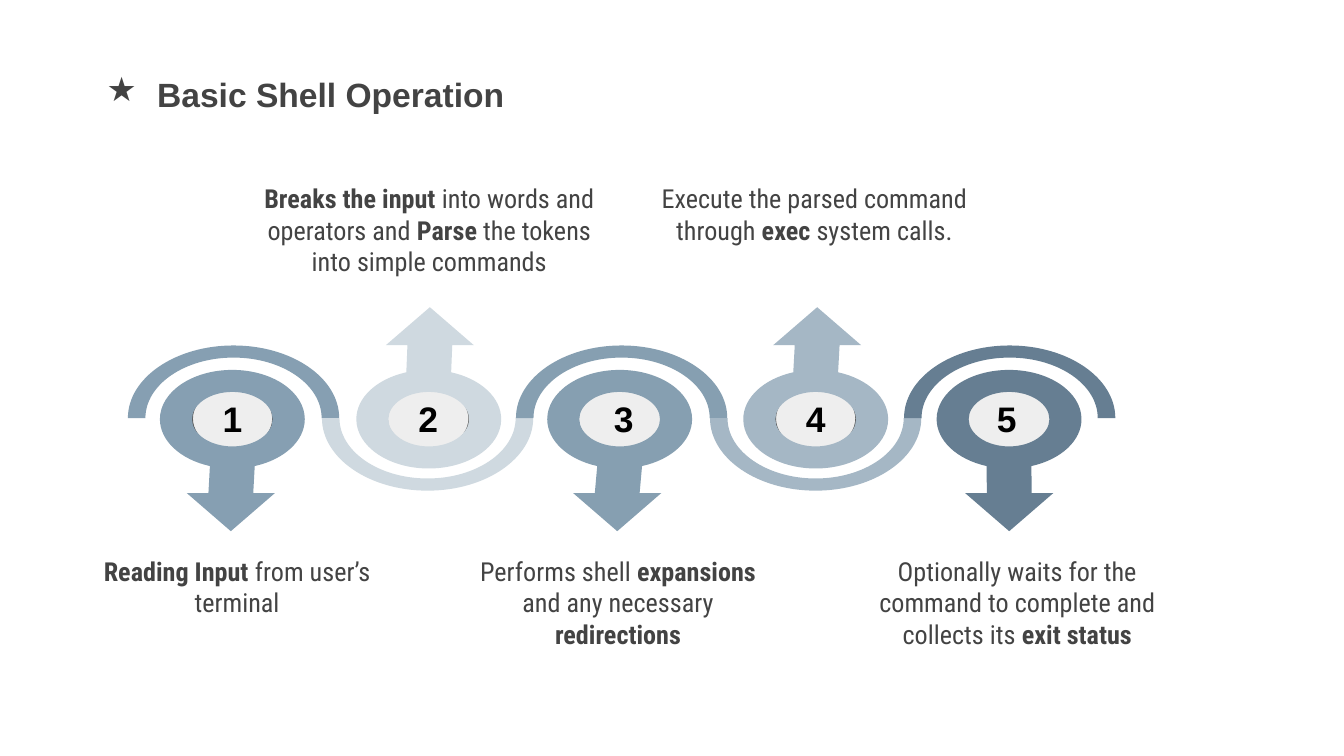
from math import asin, cos, pi, sin, tan

from lxml.etree import SubElement
from pptx import Presentation
from pptx.dml.color import RGBColor
from pptx.enum.shapes import MSO_SHAPE
from pptx.enum.text import MSO_ANCHOR, MSO_AUTO_SIZE, PP_ALIGN
from pptx.oxml.ns import qn
from pptx.util import Pt

# Content: ** switches bold on and off
TITLE = "Basic Shell Operation"
STEPS = [
    {"text": "**Reading Input** from user’s terminal", "box": (48.2, 157.7, 48.2),
     "color": "869FB2", "disc": 124.5, "tip": 123.7, "badge": (103, 43.2)},
    {"text": "**Breaks the input** into words and operators and **Parse** the tokens "
             "into simple commands", "box": (131, 198, 64.8),
     "color": "CFD9E0", "disc": 229.7, "tip": 230.3, "badge": (207.4, 43.9)},
    {"text": "Performs shell **expansions** and any necessary **redirections**",
     "box": (249.8, 162.7, 64.8),
     "color": "869FB1", "disc": 332, "tip": 330.7, "badge": (309.6, 49)},
    {"text": "Execute the parsed command through **exec **system calls.",
     "box": (344.9, 182.9, 48.2),
     "color": "A5B7C5", "disc": 437, "tip": 437.8, "badge": (415.4, 43.2)},
    {"text": "Optionally waits for the command to complete and collects its **exit status**",
     "box": (453.6, 182.9, 64.8),
     "color": "667E92", "disc": 540.6, "tip": 540.7, "badge": (514.8, 49)},
]

# Geometry in points
ARC_FIRST, ARC_STEP, ARC_Y = 125.1, 103.95, 224
ARC_OUTER, ARC_INNER = (56.6, 38.9), (47.2, 32.4)
DISC_Y, DISC, HOLE = 224.6, (38.8, 26.4), (21.6, 14.6)
STEM, HEAD, HEAD_BASE, TIP = 12, 23.6, 39.6, 60
BADGE_TOP, BADGE_HEIGHT = 207.4, 33.8
TEXT_ABOVE, TEXT_BELOW = 90.7, 290.2
INK = "434343"


def color(value):
    return RGBColor.from_string(value)


def write(paragraph, text, size, font="Arial", ink=INK, bold=False, align=PP_ALIGN.CENTER):
    paragraph.alignment = align
    for index, part in enumerate(text.split("**")):
        if part:
            run = paragraph.add_run()
            run.text = part
            run.font.size, run.font.name = Pt(size), font
            run.font.bold = bold or index % 2 == 1
            run.font.color.rgb = color(ink)


def set_margins(frame):
    frame.margin_left = frame.margin_right = frame.margin_top = frame.margin_bottom = Pt(7.2)


def ellipse_nodes(center, radii, angles):
    """Return nodes, each a list of points: two curve handles, then the end."""
    def at(angle, slope=0):
        return (center[0] + radii[0] * (cos(angle) - slope * sin(angle)),
                center[1] + radii[1] * (sin(angle) + slope * cos(angle)))

    nodes = [[at(angles[0])]]
    for start, end in zip(angles, angles[1:]):
        handle = 4 / 3 * tan((end - start) / 4)
        nodes.append([at(start, handle), at(end, -handle), at(end)])
    return nodes


def add_outline(slide, contours, fill):
    corners = [[(Pt(x), Pt(y)) for x, y in (node[-1] for node in nodes)] for nodes in contours]
    builder = slide.shapes.build_freeform(*corners[0][0], scale=1.0)
    builder.add_line_segments(corners[0][1:], close=True)
    for contour in corners[1:]:
        builder.move_to(*contour[0])
        builder.add_line_segments(contour[1:], close=True)
    shape = builder.convert_to_shape()

    # Turn the segments that have handles into curves
    segments = [point.getparent() for point in shape._element.iter(qn("a:pt"))]
    nodes = [node for contour in contours for node in contour]
    for segment, node in zip(segments, nodes):
        if len(node) == 3:
            segment.getparent().replace(segment, curve := segment.makeelement(qn("a:cubicBezTo")))
            for x, y in node:
                SubElement(curve, qn("a:pt"), x=str(Pt(x) - shape.left), y=str(Pt(y) - shape.top))

    shape.shadow.inherit = False
    shape.fill.solid()
    shape.fill.fore_color.rgb = color(fill)
    shape.line.fill.background()


def add_title(slide):
    title = slide.shapes.title
    title.left, title.top, title.width, title.height = Pt(41), Pt(34.6), Pt(446.4), Pt(33.8)
    frame = title.text_frame
    frame.auto_size, frame.vertical_anchor = MSO_AUTO_SIZE.NONE, MSO_ANCHOR.BOTTOM
    set_margins(frame)
    paragraph = frame.paragraphs[0]
    write(paragraph, TITLE, 18, bold=True, align=PP_ALIGN.LEFT)
    properties = paragraph._p.get_or_add_pPr()
    properties.set("marL", str(Pt(36)))
    properties.set("indent", str(Pt(-27)))
    bullet_color = SubElement(properties, qn("a:buClr"))
    SubElement(bullet_color, qn("a:srgbClr"), val=INK)
    SubElement(properties, qn("a:buChar"), char="★")


def add_badge(slide, number, left, width):
    badge = slide.shapes.add_shape(
        MSO_SHAPE.OVAL, Pt(left), Pt(BADGE_TOP), Pt(width), Pt(BADGE_HEIGHT))
    badge.shadow.inherit = False
    badge.fill.solid()
    badge.fill.fore_color.rgb = color("EEEEEE")
    badge.line.color.rgb = color("595959")
    badge.line.width = Pt(0.75)
    badge.text_frame.vertical_anchor = MSO_ANCHOR.MIDDLE
    set_margins(badge.text_frame)
    write(badge.text_frame.paragraphs[0], str(number), 19, ink="000000", bold=True)


def add_arc(slide, index, fill, direction):
    center = (ARC_FIRST + index * ARC_STEP, ARC_Y)
    angles = [pi + direction * pi / 2 * quarter for quarter in range(3)]
    outer = ellipse_nodes(center, ARC_OUTER, angles)
    inner = ellipse_nodes(center, ARC_INNER, angles[::-1])
    add_outline(slide, [outer + inner], fill)


def add_pin(slide, disc_x, tip_x, fill, direction):
    center = (disc_x, DISC_Y)
    gap = asin(STEM / DISC[0])
    turns = [gap, pi / 2, pi, 3 * pi / 2, 2 * pi - gap]
    disc = ellipse_nodes(center, DISC, [direction * pi / 2 + turn for turn in turns])
    arrow = [[(tip_x + direction * dx, DISC_Y + direction * dy)] for dx, dy in (
        (STEM, HEAD_BASE), (HEAD, HEAD_BASE), (0, TIP), (-HEAD, HEAD_BASE), (-STEM, HEAD_BASE))]
    hole = ellipse_nodes(center, HOLE, [-pi / 2 * quarter for quarter in range(5)])
    add_outline(slide, [disc + arrow, hole], fill)


def add_description(slide, text, left, top, width, height):
    box = slide.shapes.add_textbox(Pt(left), Pt(top), Pt(width), Pt(height))
    frame = box.text_frame
    frame.word_wrap, frame.auto_size = True, MSO_AUTO_SIZE.SHAPE_TO_FIT_TEXT
    set_margins(frame)
    write(frame.paragraphs[0], text, 14, font="Roboto Condensed")


def main():
    presentation = Presentation()
    presentation.slide_width, presentation.slide_height = Pt(720), Pt(405)
    slide = presentation.slides.add_slide(presentation.slide_layouts[5])
    add_title(slide)

    # Numbers lie behind the rings
    for number, step in enumerate(STEPS, start=1):
        add_badge(slide, number, *step["badge"])

    # Odd steps point down, even steps point up
    for index, step in enumerate(STEPS):
        direction = 1 if index % 2 == 0 else -1
        add_arc(slide, index, step["color"], direction)
        add_pin(slide, step["disc"], step["tip"], step["color"], direction)
        left, width, height = step["box"]
        top = TEXT_BELOW if direction == 1 else TEXT_ABOVE
        add_description(slide, step["text"], left, top, width, height)

    presentation.save("out.pptx")


if __name__ == "__main__":
    main()
